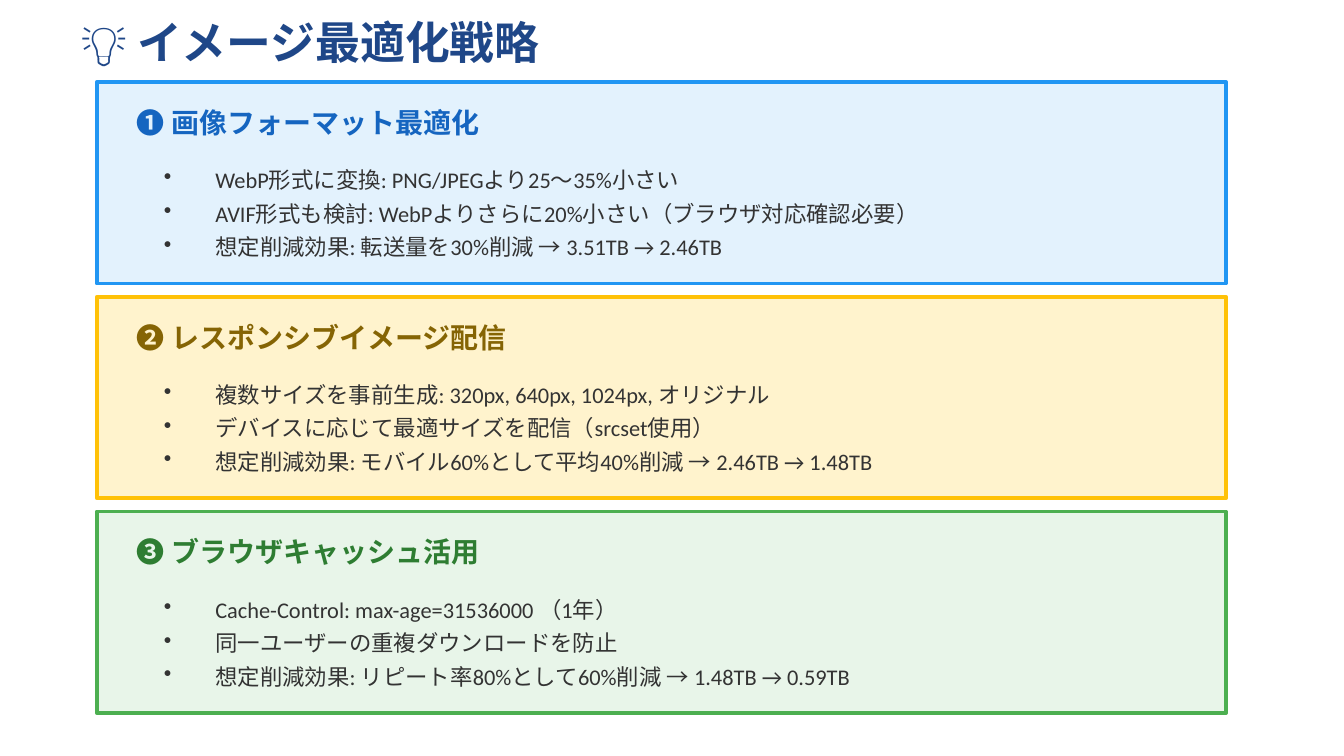
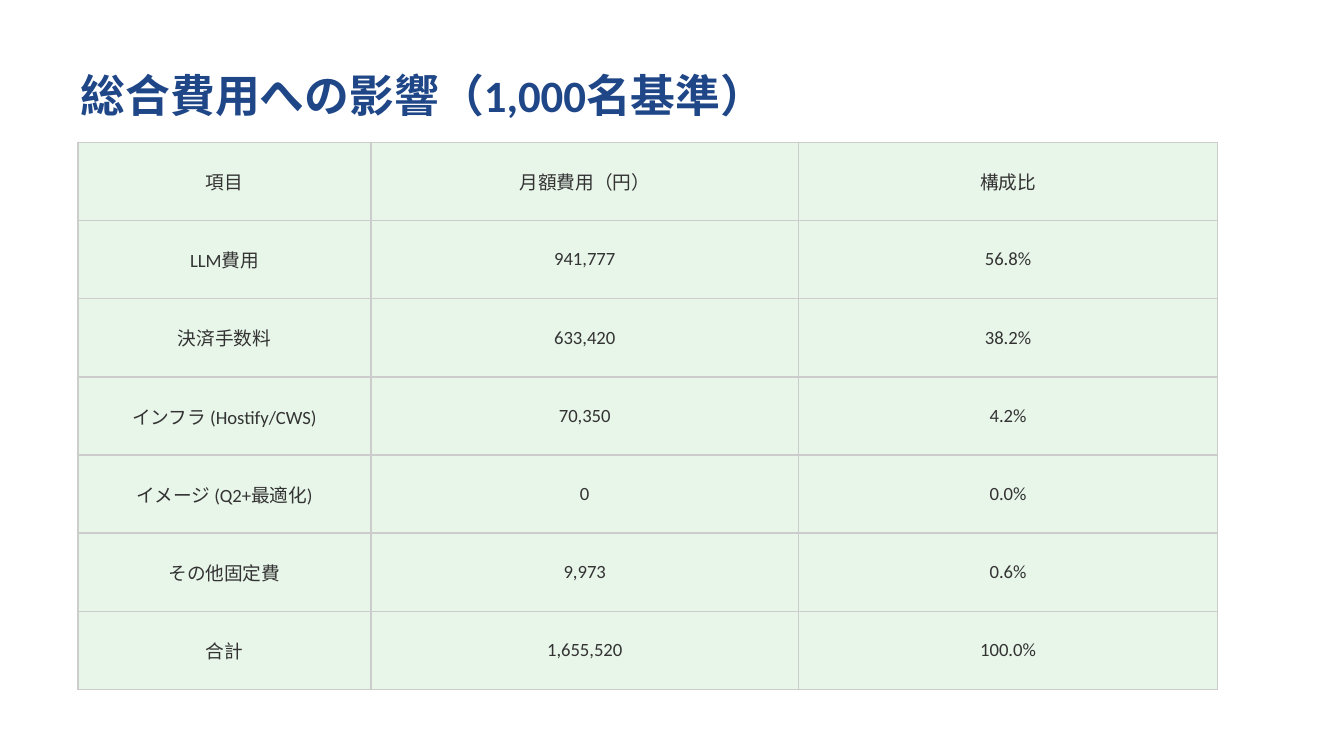
import pptx
import pptx.dml.color
import pptx.enum.shapes
import pptx.enum.text
import pptx.oxml.ns
import pptx.util
from lxml import etree

Cm = pptx.util.Cm
Pt = pptx.util.Pt
ALIGN = pptx.enum.text.PP_ALIGN
MIDDLE = pptx.enum.text.MSO_ANCHOR.MIDDLE

FONT = "Calibri"
NAVY, INK, GRID = "1F4788", "333333", "CCCCCC"
GREEN = "E8F5E9"

# heading, fill, line, heading colour, points
CARDS = [
    ("❶ 画像フォーマット最適化", "E3F2FD", "2196F3", "1565C0", [
        "WebP形式に変換: PNG/JPEGより25～35%小さい",
        "AVIF形式も検討: WebPよりさらに20%小さい（ブラウザ対応確認必要）",
        "想定削減効果: 転送量を30%削減 → 3.51TB → 2.46TB"]),
    ("❷ レスポンシブイメージ配信", "FFF3CD", "FFC107", "856404", [
        "複数サイズを事前生成: 320px, 640px, 1024px, オリジナル",
        "デバイスに応じて最適サイズを配信（srcset使用）",
        "想定削減効果: モバイル60%として平均40%削減 → 2.46TB → 1.48TB"]),
    ("❸ ブラウザキャッシュ活用", GREEN, "4CAF50", "2E7D32", [
        "Cache-Control: max-age=31536000 （1年）",
        "同一ユーザーの重複ダウンロードを防止",
        "想定削減効果: リピート率80%として60%削減 → 1.48TB → 0.59TB"]),
]

COSTS = [
    ("項目", "月額費用（円）", "構成比"),
    ("LLM費用", "941,777", "56.8%"),
    ("決済手数料", "633,420", "38.2%"),
    ("インフラ (Hostify/CWS)", "70,350", "4.2%"),
    ("イメージ (Q2+最適化)", "0", "0.0%"),
    ("その他固定費", "9,973", "0.6%"),
    ("合計", "1,655,520", "100.0%"),
]


def rgb(code):
    return pptx.dml.color.RGBColor.from_string(code)


def paint(fill, code):
    fill.solid()
    fill.fore_color.rgb = rgb(code)


def add_run(para, text, size, code, bold=False):
    run = para.add_run()
    run.text = text
    run.font.name = FONT
    run.font.size = Pt(size)
    run.font.bold = bold
    run.font.color.rgb = rgb(code)


def set_frame(frame):
    frame.word_wrap = True
    frame.auto_size = pptx.enum.text.MSO_AUTO_SIZE.NONE
    frame.vertical_anchor = MIDDLE


def add_box(slide, left, top, width, height):
    """Add an empty text box, lengths in cm, and return its frame."""
    box = slide.shapes.add_textbox(Cm(left), Cm(top), Cm(width), Cm(height))
    set_frame(box.text_frame)
    return box.text_frame


def add_slide(deck, text, top):
    """Add a slide with its title at the given height in cm."""
    slide = deck.slides.add_slide(deck.slide_layouts[5])
    title = slide.shapes.title
    title.left, title.top = Cm(1.27), Cm(top)
    title.width, title.height = Cm(22.86), Cm(1.52)
    set_frame(title.text_frame)
    para = title.text_frame.paragraphs[0]
    para.alignment = ALIGN.LEFT
    add_run(para, text, 24, NAVY, True)
    return slide


def set_bullet(para):
    props = para._p.get_or_add_pPr()
    props.set("marL", str(Cm(0.97)))
    props.set("indent", str(-Cm(0.97)))
    mark = etree.SubElement(props, pptx.oxml.ns.qn("a:buChar"))
    mark.set("char", "•")


def add_card(slide, left, top, width, height, card):
    head, fill, line, tone, points = card
    rect = slide.shapes.add_shape(
        pptx.enum.shapes.MSO_SHAPE.RECTANGLE,
        Cm(left), Cm(top), Cm(width), Cm(height))
    rect.shadow.inherit = False
    paint(rect.fill, fill)
    rect.line.color.rgb = rgb(line)
    rect.line.width = Pt(2)

    frame = add_box(slide, left + 0.51, top + 0.38, width - 1.02, 0.76)
    add_run(frame.paragraphs[0], head, 15, tone, True)

    frame = add_box(slide, left + 1.02, top + 1.4, width - 2.04, 2.03)
    for i, point in enumerate(points):
        para = frame.add_paragraph() if i else frame.paragraphs[0]
        para.line_spacing = Pt(18)
        set_bullet(para)
        add_run(para, point, 12, INK)


def set_border(cell):
    props = cell._tc.get_or_add_tcPr()
    for side in ("a:lnL", "a:lnR", "a:lnT", "a:lnB"):
        line = etree.SubElement(props, pptx.oxml.ns.qn(side), w=str(Pt(1)))
        fill = etree.SubElement(line, pptx.oxml.ns.qn("a:solidFill"))
        etree.SubElement(fill, pptx.oxml.ns.qn("a:srgbClr"), val=GRID)


def add_costs(slide, left, top, widths, height):
    table = slide.shapes.add_table(
        len(COSTS), len(widths), Cm(left), Cm(top),
        Cm(sum(widths)), Cm(height)).table
    table.first_row = table.horz_banding = False
    for col, width in zip(table.columns, widths):
        col.width = Cm(width)
    for row, texts in zip(table.rows, COSTS):
        row.height = Cm(height / len(COSTS))
        for cell, text in zip(row.cells, texts):
            set_border(cell)
            paint(cell.fill, GREEN)
            cell.vertical_anchor = MIDDLE
            para = cell.text_frame.paragraphs[0]
            para.alignment = ALIGN.CENTER
            add_run(para, text, 10, INK)


def main():
    deck = pptx.Presentation()
    deck.slide_width, deck.slide_height = Cm(25.4), Cm(14.29)

    slide = add_slide(deck, "💡 イメージ最適化戦略", 0.03)
    height, gap = 3.81, 0.25
    for i, card in enumerate(CARDS):
        add_card(slide, 1.83, 1.55 + i * (height + gap), 21.34, height, card)

    slide = add_slide(deck, "総合費用への影響（1,000名基準）", 1.02)
    add_costs(slide, 1.47, 2.69, (5.54, 8.08, 7.92), 10.35)

    deck.save("out.pptx")


if __name__ == "__main__":
    main()
